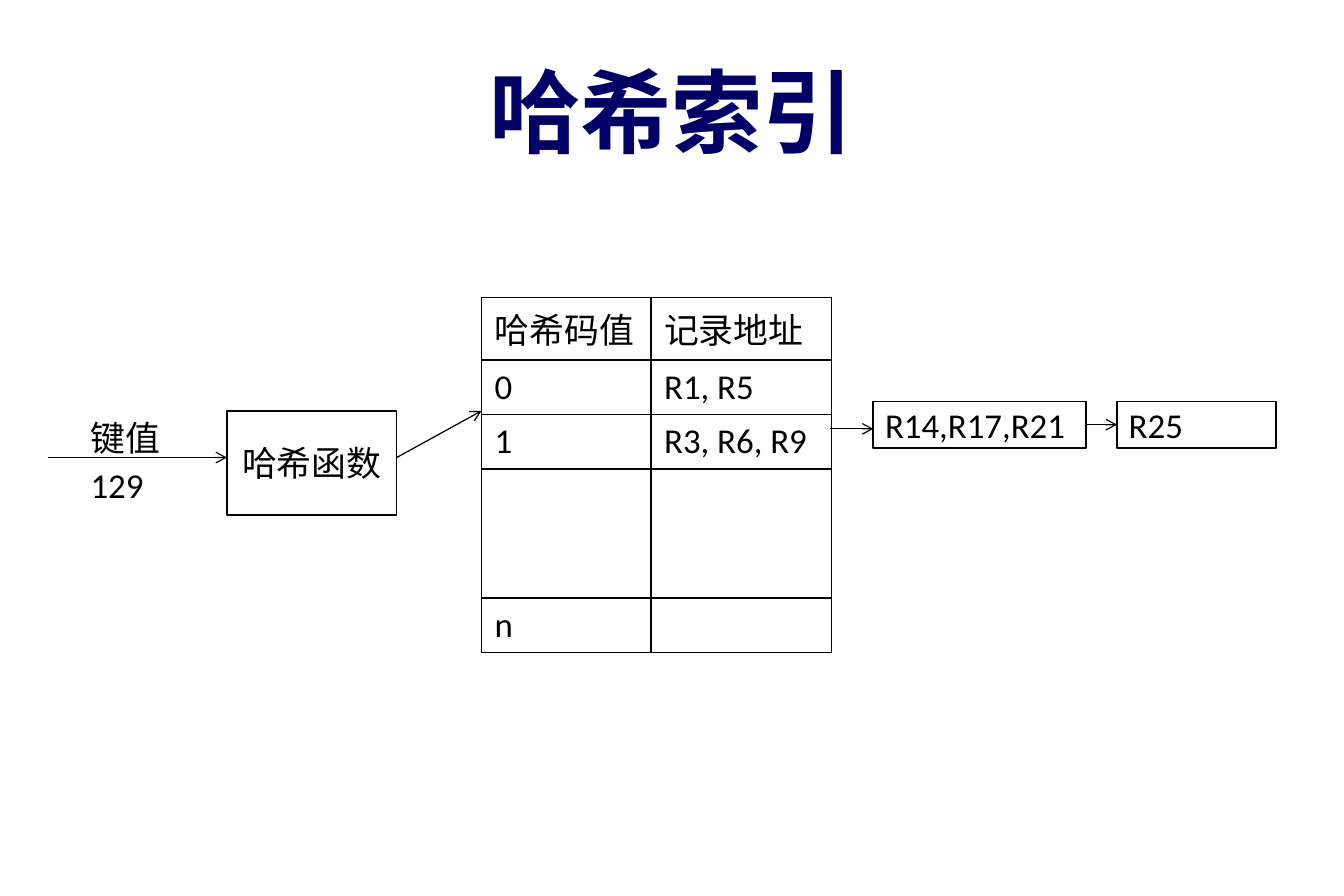
from lxml.etree import SubElement as Sub
from pptx import Presentation
from pptx.dml.color import RGBColor
from pptx.enum.shapes import MSO_CONNECTOR as Line, MSO_SHAPE as Shape
from pptx.enum.text import MSO_ANCHOR as Anchor, MSO_AUTO_SIZE as Auto, PP_ALIGN as Align
from pptx.oxml.ns import qn
from pptx.util import Pt

PX = 9144  # 100 px to the inch
SIZE = 1125, 750
BLACK, WHITE, NAVY = "000000", "FFFFFF", "000066"
BODY = {"name": "Calibri", "size": Pt(21), "bold": False}
HEAD = {"name": "Lato", "size": Pt(55), "bold": True}

TITLE = "哈希索引", (56, 30, 1012, 125)
BOXES = [
    ("哈希函数", (190, 344, 142, 87), Align.CENTER),
    ("R14,R17,R21", (731, 336, 178, 39), Align.LEFT),
    ("R25", (935, 336, 133, 39), Align.LEFT),
]
LABELS = [("键值", (66, 344, 79, 45)), ("129", (66, 383, 65, 45))]
ARROWS = [
    (40, 383, 190, 383),
    (332, 383, 403, 344),
    (695, 359, 731, 359),
]
TABLE_AT = 403, 249
COLS = 142, 151
ROWS = [
    (37, ("哈希码值", "记录地址")),
    (37, ("0", "R1, R5")),
    (37, ("1", "R3, R6, R9")),
    (108, ("", "")),
    (37, ("n", "")),
]


def emu(nums):
    return [n * PX for n in nums]


def rgb(code):
    return RGBColor.from_string(code)


def style(obj, vals):
    for key, val in vals.items():
        setattr(obj, key, val)


def write(frame, text, font=BODY, color=BLACK, align=Align.LEFT):
    para = frame.paragraphs[0]
    para.alignment = align
    run = para.add_run()
    run.text = text
    style(run.font, font)
    run.font.color.rgb = rgb(color)


def add_box(shapes, text, at, align):
    box = shapes.add_shape(Shape.RECTANGLE, *emu(at))
    box.shadow.inherit = False
    box.fill.solid()
    box.fill.fore_color.rgb = rgb(WHITE)
    box.line.color.rgb = rgb(BLACK)
    box.line.width = Pt(1)
    style(box.text_frame, {"word_wrap": True, "vertical_anchor": Anchor.MIDDLE})
    write(box.text_frame, text, align=align)
    return box


def add_arrow(shapes, ends):
    arrow = shapes.add_connector(Line.STRAIGHT, *emu(ends))
    arrow.line.color.rgb = rgb(BLACK)
    arrow.line.width = Pt(0.75)
    Sub(arrow.line._get_or_add_ln(), qn("a:tailEnd"), type="arrow")
    Sub(arrow._element.spPr, qn("a:effectLst"))
    return arrow


def add_edges(cell):
    """Draw a thin black border on all four sides of the cell."""
    props = cell._tc.get_or_add_tcPr()
    for spot, side in enumerate(("lnL", "lnR", "lnT", "lnB")):
        edge = props.makeelement(qn("a:" + side), {"w": str(Pt(1))})
        Sub(Sub(edge, qn("a:solidFill")), qn("a:srgbClr"), val=BLACK)
        props.insert(spot, edge)


def add_grid(shapes):
    high = sum(tall for tall, _ in ROWS)
    at = emu((*TABLE_AT, sum(COLS), high))
    grid = shapes.add_table(len(ROWS), len(COLS), *at).table
    style(grid, {"first_row": False, "horz_banding": False})
    for col, wide in zip(grid.columns, COLS):
        col.width = wide * PX
    for row, (tall, texts) in zip(grid.rows, ROWS):
        row.height = tall * PX
        for cell, text in zip(row.cells, texts):
            style(cell, {"margin_left": 11 * PX, "margin_right": 11 * PX,
                         "margin_top": 5 * PX, "margin_bottom": 5 * PX})
            cell.fill.background()
            add_edges(cell)
            if text:
                write(cell.text_frame, text)


def main():
    deck = Presentation()
    deck.slide_width, deck.slide_height = emu(SIZE)
    slide = deck.slides.add_slide(deck.slide_layouts[5])
    shapes = slide.shapes

    text, at = TITLE
    title = shapes.title
    style(title, dict(zip(("left", "top", "width", "height"), emu(at))))
    style(title.text_frame, {
        "margin_left": 12 * PX, "margin_right": 12 * PX,
        "margin_top": 6 * PX, "margin_bottom": 6 * PX,
        "vertical_anchor": Anchor.MIDDLE, "auto_size": Auto.NONE})
    write(title.text_frame, text, HEAD, NAVY, Align.CENTER)

    add_grid(shapes)
    hasher, chain, last = [add_box(shapes, *box) for box in BOXES]
    for text, at in LABELS:
        label = shapes.add_textbox(*emu(at))
        style(label.text_frame, {"word_wrap": False, "auto_size": Auto.SHAPE_TO_FIT_TEXT})
        write(label.text_frame, text)
    for ends in ARROWS:
        add_arrow(shapes, ends)
    link = add_arrow(shapes, (909, 355, 935, 355))
    link.begin_connect(chain, 3)
    link.end_connect(last, 1)

    deck.save("out.pptx")


if __name__ == "__main__":
    main()
